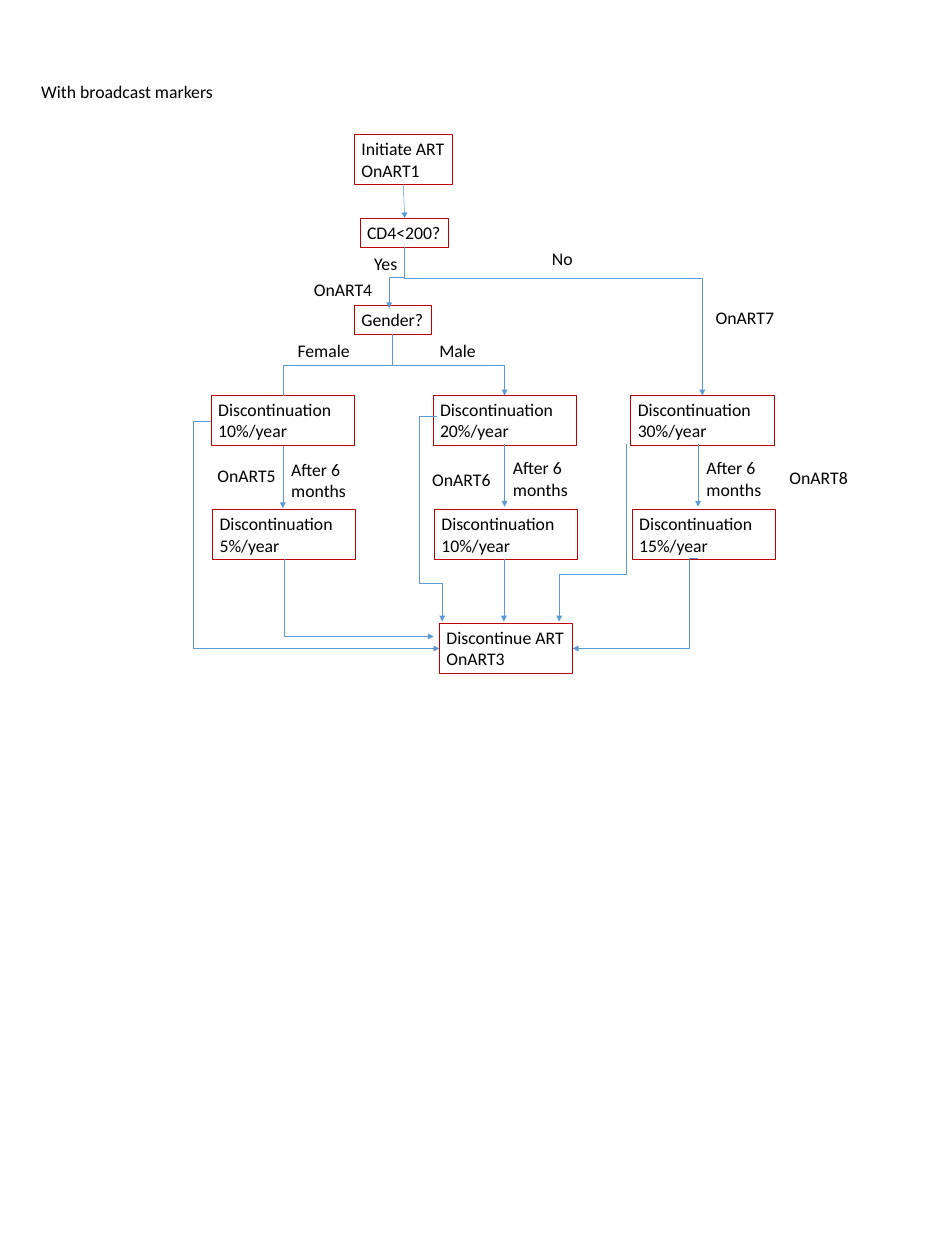
from dataclasses import dataclass

from lxml import etree
from pptx import Presentation
from pptx.dml.color import RGBColor
from pptx.enum.shapes import MSO_CONNECTOR, MSO_SHAPE
from pptx.enum.text import MSO_ANCHOR, MSO_AUTO_SIZE, PP_ALIGN
from pptx.oxml.ns import qn
from pptx.util import Pt

RECT = MSO_SHAPE.RECTANGLE
STRAIGHT, ELBOW = MSO_CONNECTOR.STRAIGHT, MSO_CONNECTOR.ELBOW
TOP, LEFT = MSO_ANCHOR.TOP, PP_ALIGN.LEFT
FIT, TITLE_ONLY = MSO_AUTO_SIZE.SHAPE_TO_FIT_TEXT, 5
HORIZONTAL, VERTICAL = "horizontal", "vertical"


@dataclass(frozen=True)
class Theme:
    """Colours, type and line widths of the slide."""
    font: str = "Calibri"
    size: float = 18
    text: RGBColor = RGBColor(0, 0, 0)
    border: RGBColor = RGBColor(0xC0, 0, 0)
    flow: RGBColor = RGBColor(0x5B, 0x9B, 0xD5)
    border_width: float = 0.75
    flow_width: float = 0.5


@dataclass(frozen=True)
class Block:
    """A boxed step or a plain label, in points."""
    text: str
    x: float
    y: float
    w: float
    h: float = 29.1
    wrap: bool = False


@dataclass(frozen=True)
class Branch:
    """One discontinuation column: box edge, rates and the arrow between."""
    x: float
    rate: str
    later_rate: str
    arrow_x: float
    arrow_y: float


@dataclass(frozen=True)
class Flow:
    """A connector; axis is its first direction, bends where it turns."""
    start: tuple[float, float]
    end: tuple[float, float]
    axis: str = ""
    bends: tuple[float, ...] = ()
    arrow: bool = True


THEME = Theme()
TWO_LINES = 50.9
BRANCH_W, BRANCH_Y, LATER_Y, LATER_SHIFT = 145.4, 401.8, 517.7, 1.4
WAIT_LENGTH, MARKER_W = 63.4, 74.2

TITLE = Block("With broadcast markers", 34.6, 78.5, 195.1)
STEPS = [
    Block("Initiate ART\nOnART1", 360, 136.8, 99.4, TWO_LINES),
    Block("CD4<200?", 365.8, 221.8, 90),
    Block("Gender?", 360, 310.3, 78.5),
    Block("Discontinue ART\nOnART3", 446.4, 632.9, 135.4, TWO_LINES),
]
BRANCHES = [
    Branch(214.6, "10%", "5%", 287.3, 452.9),
    Branch(439.9, "20%", "10%", 512.6, 451.4),
    Branch(640.8, "30%", "15%", 709.2, 451.4),
]
ANSWERS = [
    Block("No", 553.7, 248.4, 36),
    Block("Yes", 373, 253.4, 38.2),
    Block("Female", 295.2, 342, 68.4),
    Block("Male", 439.2, 342, 51.8),
]
MARKERS = [
    Block(f"OnART{number}", x, y, MARKER_W)
    for number, x, y in [(4, 311.8, 279.4), (5, 213.8, 468.7), (6, 432, 472.3),
                         (7, 720, 308.2), (8, 794.9, 470.2)]
]
CD4_EXIT, GENDER_EXIT = (411.1, 250.6), (398.9, 339.8)
FLOWS = [
    Flow((409.7, 187.2), (411.1, 221.8)),
    Flow(CD4_EXIT, (395.3, 313.2), VERTICAL, (282,)),
    Flow(CD4_EXIT, (713.5, BRANCH_Y), VERTICAL, (282.7,)),
    Flow(GENDER_EXIT, (287.3, BRANCH_Y), VERTICAL, (370.8,), arrow=False),
    Flow(GENDER_EXIT, (512.6, BRANCH_Y), VERTICAL, (370.8,)),
    Flow((214.6, 427.7), (446.4, 658.8), HORIZONTAL, (196.6,)),
    Flow((288.7, 568.1), (440.6, 646.6), VERTICAL),
    Flow((444.2, 422.6), (449.3, 631.4), HORIZONTAL, (426.2, 592.6)),
    Flow((511.9, 568.1), (511.9, 631.4)),
    Flow((635.8, 451.4), (568.1, 631.4), VERTICAL, (583.2,)),
    Flow((709.2, 567.4), (581.8, 658.8), HORIZONTAL, (700.6,)),
]


def place(sp, block: Block) -> None:
    """Set the position and size of a shape."""
    sp.left, sp.top = Pt(block.x), Pt(block.y)
    sp.width, sp.height = Pt(block.w), Pt(block.h)


def write(sp, block: Block) -> None:
    """Fill a shape with left-aligned text in the theme font."""
    tf = sp.text_frame
    tf.text = block.text
    tf.word_wrap, tf.auto_size, tf.vertical_anchor = block.wrap, FIT, TOP
    for p in tf.paragraphs:
        p.alignment = LEFT
        p.font.name, p.font.size = THEME.font, Pt(THEME.size)
        p.font.color.rgb = THEME.text
    place(sp, block)


def add_step(shapes, block: Block) -> None:
    """Draw a red-bordered step."""
    sp = shapes.add_shape(RECT, 0, 0, 0, 0)
    sp.shadow.inherit = False
    sp.fill.background()
    sp.line.color.rgb, sp.line.width = THEME.border, Pt(THEME.border_width)
    write(sp, block)


def add_label(shapes, block: Block) -> None:
    """Draw a text label."""
    write(shapes.add_textbox(0, 0, 0, 0), block)


def bend(sp, flow: Flow) -> None:
    """Turn an elbow connector onto its axis and set its turning points."""
    (x1, y1), (x2, y2) = flow.start, flow.end
    props = sp._element.spPr
    if flow.axis == VERTICAL:
        w, h = abs(y2 - y1), abs(x2 - x1)
        place(sp, Block("", (x1 + x2 - w) / 2, (y1 + y2 - h) / 2, w, h))
        xfrm = props.find(qn("a:xfrm"))
        rightward = x2 > x1
        xfrm.set("rot", str((270 if rightward else 90) * 60000))
        xfrm.set("flipH", "1" if rightward else "0")
    geometry = props.find(qn("a:prstGeom"))
    geometry.set("prst", f"bentConnector{len(flow.bends) + 2}")
    guides = geometry.find(qn("a:avLst"))
    spans = [(x1, x2), (y1, y2)]
    if flow.axis == VERTICAL:
        spans.reverse()
    for i, (at, (a, b)) in enumerate(zip(flow.bends, spans), start=1):
        value = round((at - a) / (b - a) * 100000)
        etree.SubElement(guides, qn("a:gd"), name=f"adj{i}", fmla=f"val {value}")


def add_flow(shapes, flow: Flow) -> None:
    """Draw a straight or bent connector, with an arrowhead if wanted."""
    kind = ELBOW if flow.axis else STRAIGHT
    sp = shapes.add_connector(kind, *(Pt(v) for v in flow.start + flow.end))
    if flow.axis:
        bend(sp, flow)
    sp.line.color.rgb, sp.line.width = THEME.flow, Pt(THEME.flow_width)
    if flow.arrow:
        etree.SubElement(sp.line._get_or_add_ln(), qn("a:tailEnd"), type="triangle")
    etree.SubElement(sp._element.spPr, qn("a:effectLst"))


def add_branch(shapes, branch: Branch) -> None:
    """Draw both discontinuation steps of a column and the wait between."""
    x, y = branch.arrow_x, branch.arrow_y
    for rate, left, top in [(branch.rate, branch.x, BRANCH_Y),
                            (branch.later_rate, branch.x + LATER_SHIFT, LATER_Y)]:
        add_step(shapes, Block(f"Discontinuation {rate}/year", left, top,
                               BRANCH_W, TWO_LINES, wrap=True))
    add_flow(shapes, Flow((x, y), (x, y + WAIT_LENGTH)))
    add_label(shapes, Block("After 6 months", x + 1.4, y + 9.4, 80.6,
                            TWO_LINES, wrap=True))


def main() -> None:
    """Build the flowchart slide and save it."""
    prs = Presentation()
    prs.slide_width, prs.slide_height = Pt(960), Pt(1280)
    s = prs.slides.add_slide(prs.slide_layouts[TITLE_ONLY])
    write(s.shapes.title, TITLE)
    for step in STEPS:
        add_step(s.shapes, step)
    for branch in BRANCHES:
        add_branch(s.shapes, branch)
    for label in ANSWERS + MARKERS:
        add_label(s.shapes, label)
    for flow in FLOWS:
        add_flow(s.shapes, flow)
    prs.save("out.pptx")


main()
